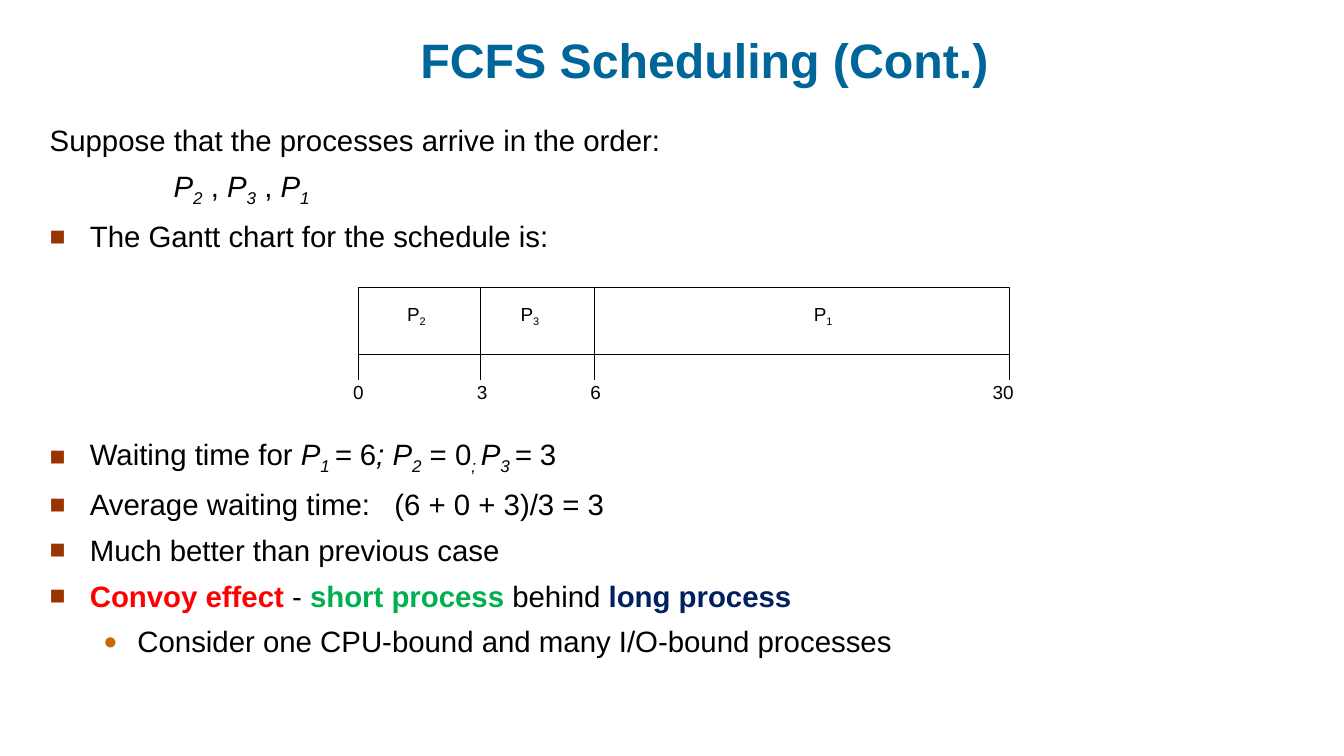
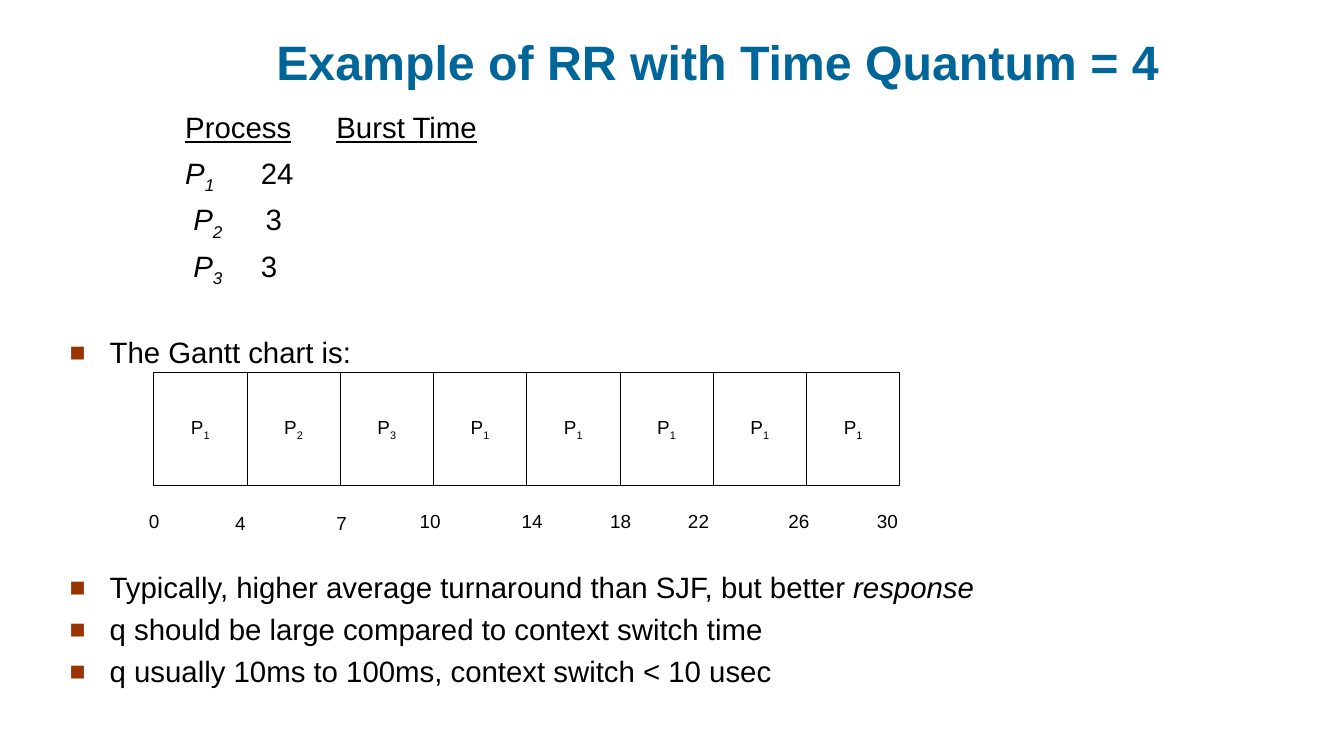
from collections import namedtuple
from itertools import pairwise

from lxml.etree import SubElement
from pptx import Presentation
from pptx.dml.color import RGBColor
from pptx.enum.shapes import MSO_CONNECTOR, MSO_SHAPE
from pptx.enum.text import MSO_ANCHOR, PP_ALIGN
from pptx.oxml.ns import qn
from pptx.util import Pt

BLACK = RGBColor(0x00, 0x00, 0x00)
WHITE = RGBColor(0xFF, 0xFF, 0xFF)
TITLE_BLUE = RGBColor(0x00, 0x66, 0x99)
BULLET_BROWN = RGBColor(0x99, 0x33, 0x00)
BULLET_ORANGE = RGBColor(0xCC, 0x66, 0x00)
RED = RGBColor(0xFF, 0x00, 0x00)
GREEN = RGBColor(0x00, 0xB0, 0x50)
NAVY = RGBColor(0x00, 0x20, 0x60)

FONT = "Arial"
TITLE_SIZE, BODY_SIZE, CHART_SIZE = 46, 28, 18
LINE_WIDTH = 0.75
LABEL_WIDTH, LABEL_HEIGHT = 48, 29

Box = namedtuple("Box", "left top width height")
Level = namedtuple("Level", "margin hanging bullet color percent")
PLAIN = Level(38.2, 38.2, None, None, None)
SQUARE = Level(38.2, 38.2, "■", BULLET_BROWN, 90)
DOT = Level(83.5, 32.4, "●", BULLET_ORANGE, 80)


def add_spans(para, spans, size):
    """Add (text, style letters, colour) spans: b bold, i italic, u underline, s subscript."""
    for text, style, *color in spans:
        span = para.add_run()
        span.text = text
        font = span.font
        font.name, font.size = FONT, Pt(size)
        font.bold, font.italic, font.underline = "b" in style, "i" in style, "u" in style
        font.color.rgb = color[0] if color else BLACK
        if "s" in style:
            span._r.get_or_add_rPr().set("baseline", "-25000")


def add_text(shapes, box, anchor=MSO_ANCHOR.TOP, wrap=True):
    """Add an empty text box and return its frame."""
    frame = shapes.add_textbox(*map(Pt, box)).text_frame
    frame.word_wrap = wrap
    frame.vertical_anchor = anchor
    frame.margin_left = frame.margin_right = Pt(10)
    frame.margin_top = frame.margin_bottom = Pt(5)
    return frame


def add_title(page, box, text):
    """Add the bold centred slide title."""
    para = add_text(page.shapes, box, MSO_ANCHOR.BOTTOM).paragraphs[0]
    para.alignment = PP_ALIGN.CENTER
    add_spans(para, [(text, "b", TITLE_BLUE)], TITLE_SIZE)


def format_paragraph(para, level, gap, line_spacing):
    """Set the spacing, indent and bullet of a body paragraph."""
    para.line_spacing = line_spacing
    properties = para._p.get_or_add_pPr()
    properties.set("marL", str(Pt(level.margin)))
    properties.set("indent", str(-Pt(level.hanging)))
    properties.set("defTabSz", str(Pt(72)))
    if gap:
        para.space_before = Pt(gap)
    else:
        before = SubElement(properties, qn("a:spcBef"))
        SubElement(before, qn("a:spcPct"), val="35000")
    if level.bullet:
        color = SubElement(properties, qn("a:buClr"))
        SubElement(color, qn("a:srgbClr"), val=str(level.color))
        SubElement(properties, qn("a:buSzPct"), val=str(level.percent * 1000))
        SubElement(properties, qn("a:buFont"), typeface=FONT)
        SubElement(properties, qn("a:buChar"), char=level.bullet)
    else:
        SubElement(properties, qn("a:buNone"))


def add_body(page, box, lines, line_spacing=1.0):
    """Add body text from (level, gap before, spans) lines."""
    frame = add_text(page.shapes, box)
    for index, (level, gap, spans) in enumerate(lines):
        para = frame.add_paragraph() if index else frame.paragraphs[0]
        format_paragraph(para, level, gap, line_spacing)
        add_spans(para, spans, BODY_SIZE)


def process(number, style=""):
    """Return the spans of a process name with its subscript."""
    return [("P", style), (str(number), style + "s")]


def add_label(shapes, x, y, spans):
    """Add a small chart label centred on a point."""
    box = Box(x - LABEL_WIDTH / 2, y - LABEL_HEIGHT / 2, LABEL_WIDTH, LABEL_HEIGHT)
    para = add_text(shapes, box, MSO_ANCHOR.MIDDLE, wrap=False).paragraphs[0]
    para.alignment = PP_ALIGN.CENTER
    add_spans(para, spans, CHART_SIZE)


def add_bar(shapes, box):
    """Add a white rectangle with a thin black outline."""
    bar = shapes.add_shape(MSO_SHAPE.RECTANGLE, *map(Pt, box))
    bar.shadow.inherit = False
    bar.fill.solid()
    bar.fill.fore_color.rgb = WHITE
    bar.line.color.rgb = BLACK
    bar.line.width = Pt(LINE_WIDTH)
    return bar


def add_vertical(shapes, x, top, bottom):
    """Add a thin black vertical line."""
    line = shapes.add_connector(MSO_CONNECTOR.STRAIGHT, Pt(x), Pt(top), Pt(x), Pt(bottom))
    line.line.color.rgb = BLACK
    line.line.width = Pt(LINE_WIDTH)
    SubElement(line._element.spPr, qn("a:effectLst"))


def add_divided_gantt(page, box, edges, names, times):
    """Add one bar split by lines, with ticks and times below it."""
    shapes = page.shapes.add_group_shape().shapes
    add_bar(shapes, box)
    bottom = box.top + box.height
    for edge in edges:
        add_vertical(shapes, box.left + edge, bottom, bottom + 24)
    for edge in edges[1:-1]:
        add_vertical(shapes, box.left + edge, box.top, bottom)
    for x, number in names:
        add_label(shapes, box.left + x, box.top + 26.6, process(number))
    for x, time in times:
        add_label(shapes, box.left + x, bottom + 35.8, [(str(time), "")])


def add_cell_gantt(page, box, numbers, times):
    """Add a row of equal cells with times below it."""
    shapes = page.shapes.add_group_shape().shapes
    edges = [box.left + box.width * i / len(numbers) for i in range(len(numbers) + 1)]
    for (left, right), number in zip(pairwise(edges), numbers):
        frame = add_bar(shapes, Box(left, box.top, right - left, box.height)).text_frame
        frame.word_wrap = False
        frame.vertical_anchor = MSO_ANCHOR.MIDDLE
        frame.paragraphs[0].alignment = PP_ALIGN.CENTER
        add_spans(frame.paragraphs[0], process(number), CHART_SIZE)
    for x, time in times:
        drop = 34 if time in (4, 7) else 32.2
        add_label(shapes, box.left + x, box.top + box.height + drop + 2, [(str(time), "")])


def build_fcfs(page):
    """Build the first-come first-served slide."""
    add_title(page, Box(216, 28.8, 910, 60.5), "FCFS Scheduling (Cont.)")
    order = [("\t\t ", ""), *process(2, "i"), (" , ", ""), *process(3, "i"),
             (" , ", ""), *process(1, "i")]
    waiting = [("Waiting time for ", ""), ("P", "i"), ("1 ", "is"), ("=", "i"), (" 6", ""),
               ("; P", "i"), ("2", "is"), (" = 0", ""), ("; ", "is"), ("P", "i"),
               ("3 ", "is"), ("= ", "i"), ("3", "")]
    convoy = [("Convoy effect ", "b", RED), ("- ", ""), ("short process ", "b", GREEN),
              ("behind ", ""), ("long process", "b", NAVY)]
    add_body(page, Box(37.4, 111.6, 1218, 552), [
        (PLAIN, None, [("Suppose that the processes arrive in the order:", "")]),
        (PLAIN, None, order),
        (SQUARE, None, [("The Gantt chart for the schedule is:", "")]),
        (SQUARE, 173.6, waiting),
        (SQUARE, None, [("Average waiting time:   (6 + 0 + 3)/3 = 3", "")]),
        (SQUARE, None, [("Much better than previous case", "")]),
        (SQUARE, None, convoy),
        (DOT, None, [("Consider one CPU-bound and many I/O-bound processes", "")]),
    ])
    add_divided_gantt(page, Box(341.3, 273.6, 620.6, 64.1), [0, 116.6, 224.6, 620.6],
                      [(55.4, 2), (163.4, 3), (442.8, 1)],
                      [(0, 0), (118, 3), (226, 6), (614.1, 30)])


def build_round_robin(page):
    """Build the round-robin slide."""
    add_title(page, Box(208, 2.2, 951, 88.5), "Example of RR with Time Quantum = 4")
    add_body(page, Box(56.2, 103, 1117.4, 470.9), [
        (PLAIN, None, [("\t\t", ""), ("Process", "u"), ("\t", ""), ("Burst Time", "u")]),
        (PLAIN, None, [("\t\tP", "i"), ("1\t", "is"), ("24", "")]),
        (PLAIN, None, [("\t\t ", ""), ("P", "i"), ("2\t ", "is"), ("3", "")]),
        (PLAIN, None, [("\t\t ", ""), ("P", "i"), ("3\t", "is"), ("3", "")]),
        (SQUARE, 51.4, [("The Gantt chart is:", "")]),
        (SQUARE, 193, [("Typically, higher average turnaround than SJF, but better ", ""),
                       ("response", "i")]),
        (SQUARE, None, [("q should be large compared to context switch time", "")]),
        (SQUARE, None, [("q usually 10ms to 100ms, context switch < 10 usec", "")]),
    ], line_spacing=0.9)
    add_cell_gantt(page, Box(146.4, 354.4, 710.6, 108), [1, 2, 3, 1, 1, 1, 1, 1],
                   [(0.5, 0), (82.6, 4), (179, 7), (263.3, 10), (360.5, 14), (444.7, 18),
                    (518.9, 22), (614.6, 26), (698.9, 30)])


def main():
    """Build both slides and save the deck."""
    deck = Presentation()
    deck.slide_width, deck.slide_height = Pt(1280.16), Pt(720)
    for build in (build_fcfs, build_round_robin):
        build(deck.slides.add_slide(deck.slide_layouts[6]))
    deck.save("out.pptx")


if __name__ == "__main__":
    main()
